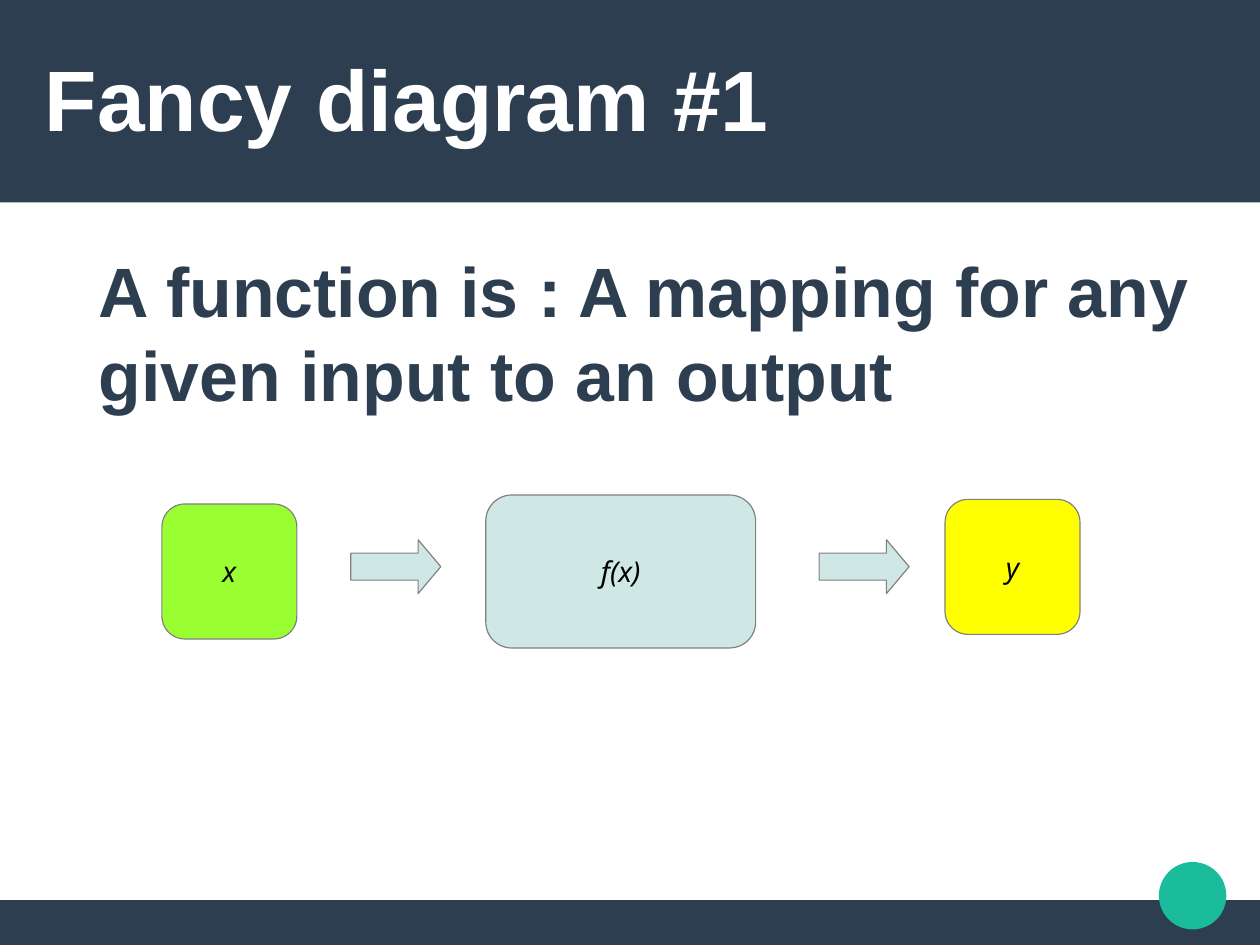
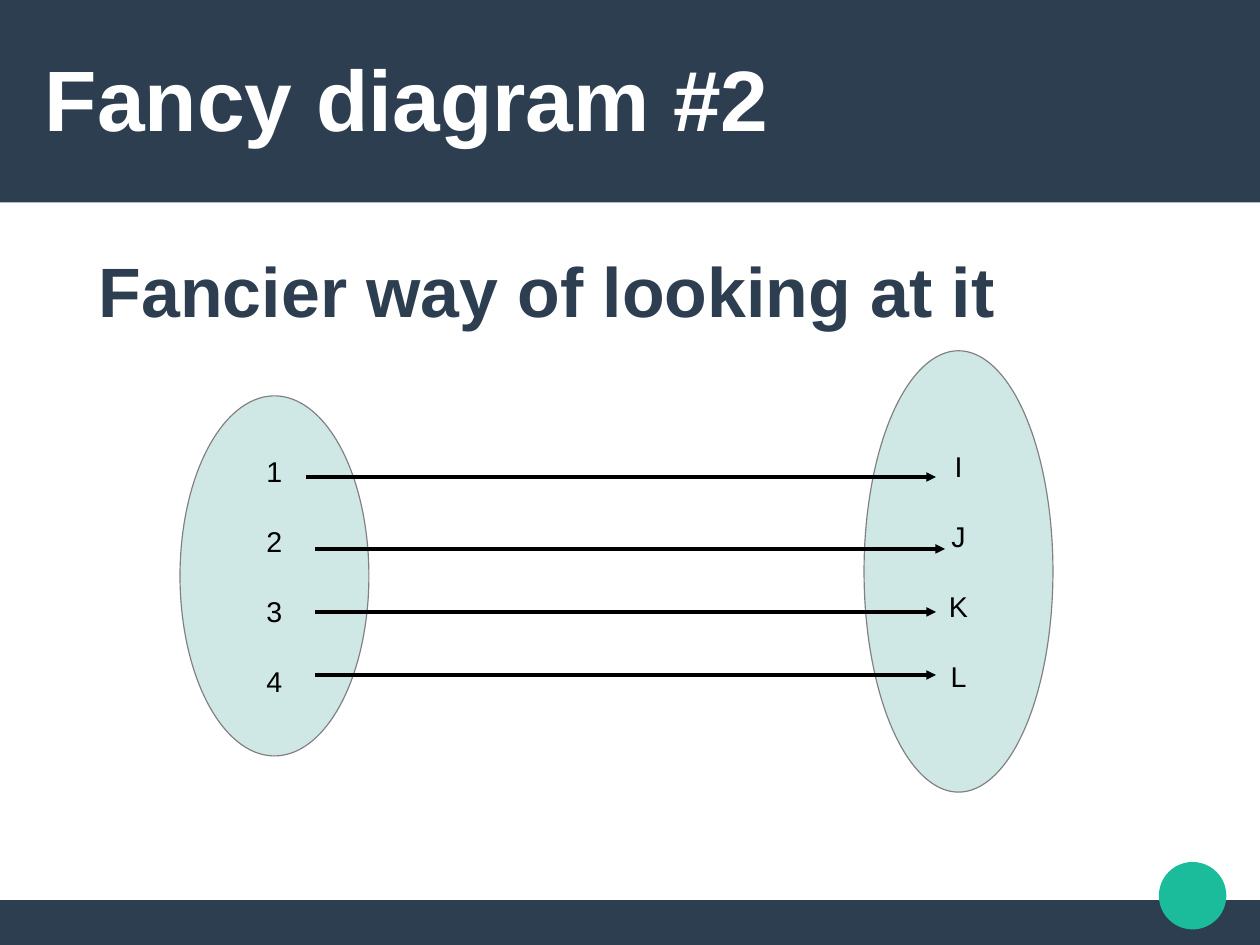
from lxml import etree
from pptx import Presentation
from pptx.dml.color import RGBColor
from pptx.enum.shapes import MSO_CONNECTOR, MSO_SHAPE
from pptx.enum.text import MSO_ANCHOR, MSO_AUTO_SIZE, PP_ALIGN
from pptx.oxml.ns import qn
from pptx.util import Pt

RECT = MSO_SHAPE.RECTANGLE
ROUND = MSO_SHAPE.ROUNDED_RECTANGLE
OVAL = MSO_SHAPE.OVAL
ARROW = MSO_SHAPE.RIGHT_ARROW
LINE = MSO_CONNECTOR.STRAIGHT
MIDDLE = MSO_ANCHOR.MIDDLE
TOP = MSO_ANCHOR.TOP
LEFT = PP_ALIGN.LEFT
CENTER = PP_ALIGN.CENTER
NO_FIT = MSO_AUTO_SIZE.NONE

WIDTH, HEIGHT = 793.7, 595.3
HEADING = "Arial"
SYMBOL = "Noto Sans"
COLORS = {
    "navy": "2C3E50",
    "teal": "1ABC9C",
    "white": "FFFFFF",
    "black": "000000",
    "gray": "808080",
    "pale": "CFE7E5",
    "green": "99FF33",
    "yellow": "FFFF00",
}


def color(name):
    return RGBColor.from_string(COLORS[name])


class Deck:
    def __init__(self):
        self.show = Presentation()
        self.show.slide_width = Pt(WIDTH)
        self.show.slide_height = Pt(HEIGHT)
        self.layout = self.show.slide_layouts[5]
        self.slide = None

    def start(self, title):
        first = self.slide is None
        self.slide = self.show.slides.add_slide(self.layout)
        if first:
            self.frame()
        head = self.slide.shapes.title
        head.left, head.top = Pt(28.35), Pt(23.7)
        head.width, head.height = Pt(737), Pt(75.7)
        self.text(head, [title], 54, "white", bold=True)
        self.plain(head.text_frame, MIDDLE)

    def frame(self):
        parts = [
            self.shape(RECT, 0, 567, WIDTH, HEIGHT - 567, "navy"),
            self.shape(RECT, 0, 0, WIDTH, 127.5, "navy"),
            self.shape(OVAL, 730, 543, 42.5, 42.5, "teal"),
        ]
        for number, part in enumerate(parts, 20):
            part.element.xpath("./p:nvSpPr/p:cNvPr")[0].set("id", str(number))
            self.layout.shapes.element.append(part.element)

    def plain(self, frame, anchor):
        frame.margin_left = frame.margin_right = 0
        frame.margin_top = frame.margin_bottom = 0
        frame.word_wrap = True
        frame.auto_size = NO_FIT
        frame.vertical_anchor = anchor

    def text(self, shape, lines, size, ink, font=HEADING, bold=False,
             italic=False, align=LEFT, gap=0):
        frame = shape.text_frame
        for index, line in enumerate(lines):
            para = frame.add_paragraph() if index else frame.paragraphs[0]
            para.alignment = align
            para.space_before = Pt(gap if index else 0)
            run = para.add_run()
            run.text = line
            run.font.size = Pt(size)
            run.font.name = font
            run.font.bold = bold
            run.font.italic = italic
            run.font.color.rgb = color(ink)

    def body(self, words):
        box = self.slide.shapes.add_textbox(
            Pt(62.35), Pt(156), Pt(703), Pt(397))
        self.plain(box.text_frame, TOP)
        self.text(box, [words], 44, "navy", bold=True)

    def shape(self, kind, left, top, width, height, fill, edge=None):
        item = self.slide.shapes.add_shape(
            kind, Pt(left), Pt(top), Pt(width), Pt(height))
        item.shadow.inherit = False
        item.fill.solid()
        item.fill.fore_color.rgb = color(fill)
        if edge:
            item.line.color.rgb = color(edge)
            item.line.width = Pt(0)
        else:
            item.line.fill.background()
        return item

    def label(self, shape, lines, **style):
        shape.text_frame.word_wrap = False
        shape.text_frame.vertical_anchor = MIDDLE
        self.text(shape, lines, 18, "black", align=CENTER, **style)

    def box(self, words, left, top, width, height, fill):
        item = self.shape(ROUND, left, top, width, height, fill, "gray")
        item.adjustments[0] = 0.17
        self.label(item, [words], font=SYMBOL, italic=True)

    def arrow(self, left):
        item = self.shape(ARROW, left, 340, 56.7, 34, "pale", "gray")
        item.adjustments[0] = 0.5
        item.adjustments[1] = 0.42

    def group(self, names, left, top, height):
        item = self.shape(OVAL, left, top, 119, height, "pale", "gray")
        self.label(item, names, gap=22.5)

    def link(self, start, end, level):
        line = self.slide.shapes.add_connector(
            LINE, Pt(start), Pt(level), Pt(end), Pt(level))
        line.line.color.rgb = color("black")
        line.line.width = Pt(0)
        props = line.element.spPr
        etree.SubElement(props.get_or_add_ln(), qn("a:tailEnd"),
                         type="triangle")
        etree.SubElement(props, qn("a:effectLst"))


def main():
    deck = Deck()

    deck.start("Fancy diagram #1")
    deck.body("A function is : A mapping for any given input to an output")
    deck.box("x", 102, 317.5, 85, 85, "green")
    deck.box("y", 595.3, 314.6, 85, 85, "yellow")
    deck.box("f(x)", 306, 311.8, 170, 96.4, "pale")
    for left in (221, 516):
        deck.arrow(left)

    deck.start("Fancy diagram #2")
    deck.body("Fancier way of looking at it")
    deck.group("1234", 113.4, 249.4, 226.8)
    deck.group("IJKL", 544.3, 221, 278)
    for start, end, level in (
        (193, 589.6, 300.5),
        (198.5, 595.3, 345.8),
        (198.5, 589.6, 385.5),
        (198.5, 589.6, 425.2),
    ):
        deck.link(start, end, level)

    deck.show.save("out.pptx")


if __name__ == "__main__":
    main()
